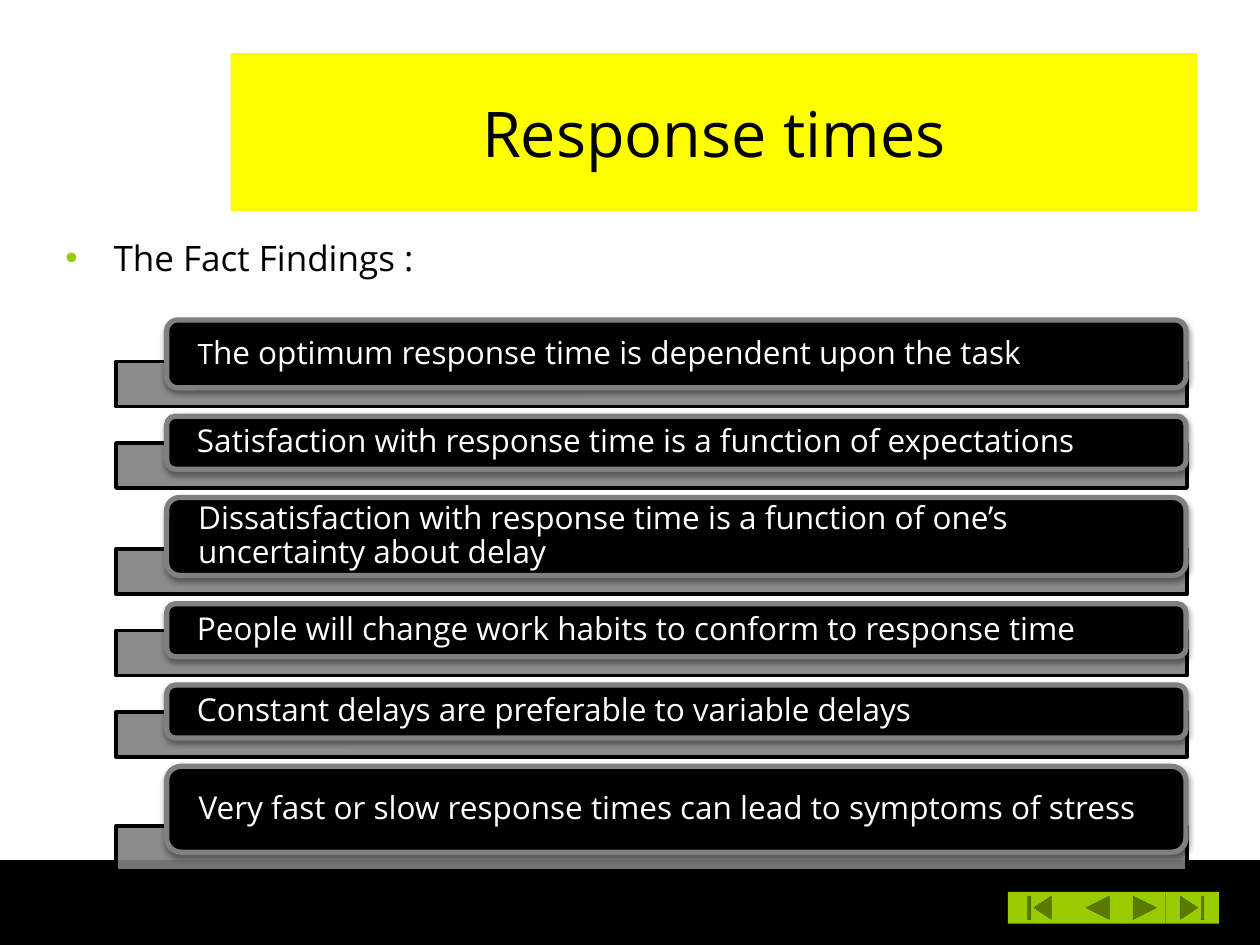
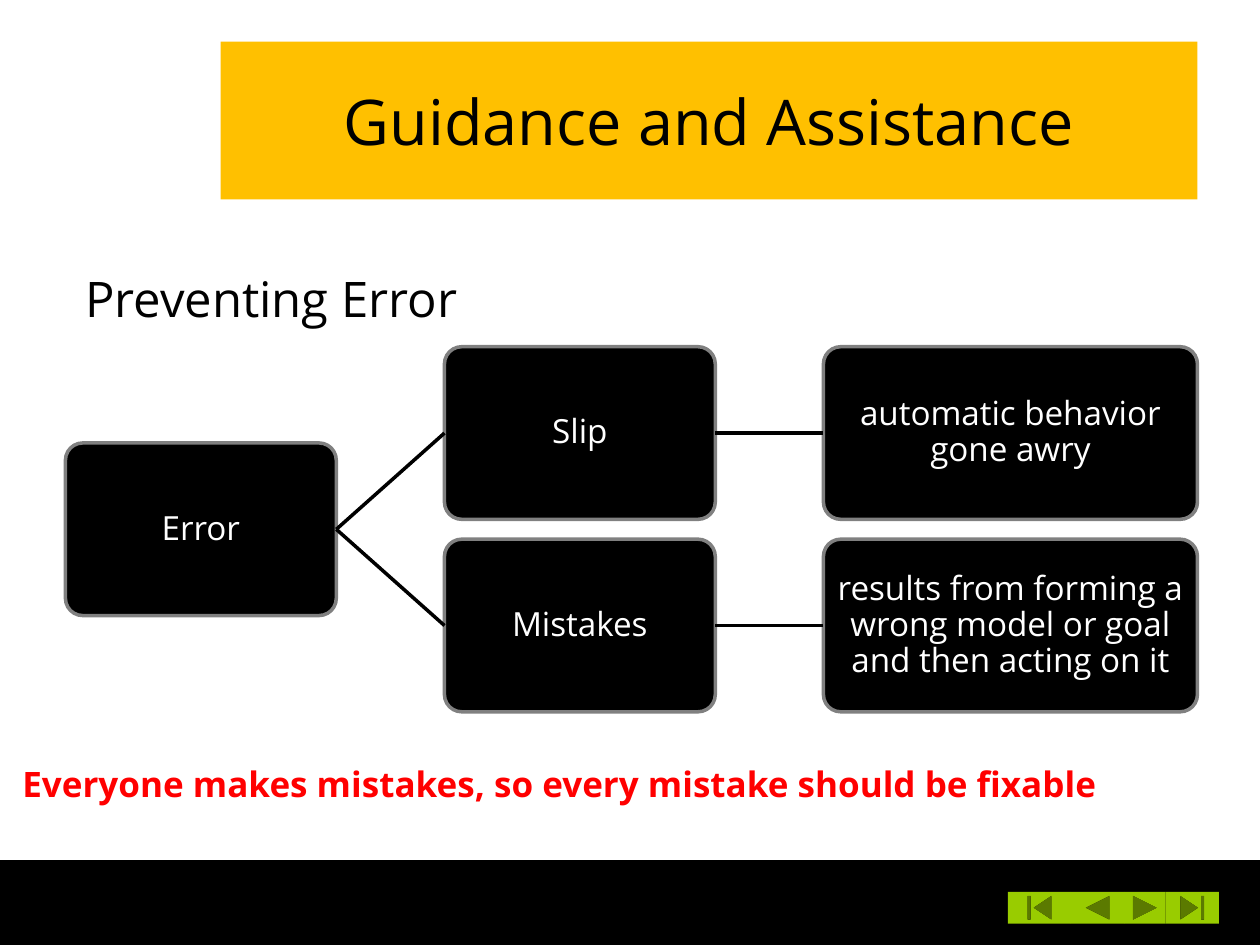
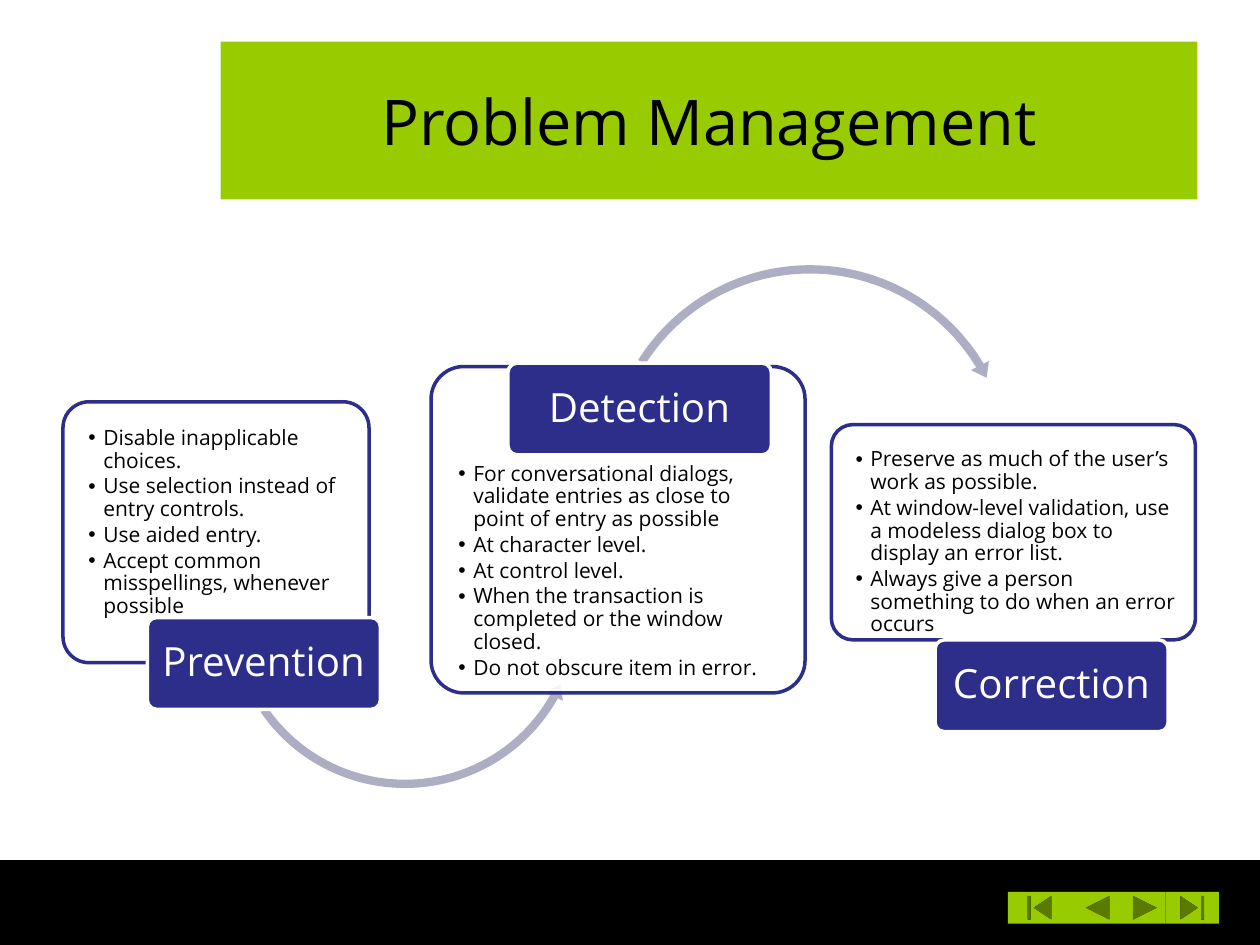
"""Builds three slides on response times, error prevention and problem management."""
from lxml import etree
from pptx import Presentation
from pptx import util as u
from pptx.dml.color import RGBColor
from pptx.enum import shapes, text
from pptx.oxml import ns

SHAPE = shapes.MSO_SHAPE
LEFT, CENTER = text.PP_ALIGN.LEFT, text.PP_ALIGN.CENTER
TOP, MIDDLE = text.MSO_ANCHOR.TOP, text.MSO_ANCHOR.MIDDLE
FONT = "Open Sans"
COLORS = {
    "black": "000000", "white": "FFFFFF", "gray": "808080", "lime": "99CC00",
    "yellow": "FFFF00", "amber": "FFC000", "red": "FF0000",
    "indigo": "2D2D8A", "lavender": "ADADC4",
}

BAND = (0, 17.36, 25.4, 1.69)
BUTTONS = [
    (SHAPE.ACTION_BUTTON_BEGINNING, 1.27),
    (SHAPE.ACTION_BUTTON_BACK_OR_PREVIOUS, 1.07),
    (SHAPE.ACTION_BUTTON_FORWARD_OR_NEXT, 0.84),
    (SHAPE.ACTION_BUTTON_END, 1.07),
]
BUTTON_LEFT, BUTTON_TOP, BUTTON_HEIGHT = 20.32, 17.98, 0.64
TITLES = [
    ("Response times", "yellow", (4.65, 1.07, 19.48, 3.18)),
    ("Guidance and Assistance", "amber", (4.45, 0.84, 19.69, 3.18)),
    ("Problem Management", "lime", (4.45, 0.84, 19.69, 3.18)),
]

FINDINGS = [
    ([("T", 16), ("he optimum response time is dependent upon the task", 18)], 1.37),
    ("Satisfaction with response time is a function of expectations", 1.07),
    ("Dissatisfaction with response time is a function of one’s uncertainty about delay", 1.57),
    ("People will change work habits to conform to response time", 1.07),
    ("Constant delays are preferable to variable delays", 1.07),
    ("Very fast or slow response times can lead to symptoms of stress", 1.73),
]
FINDINGS_TOP, FINDING_GAP = 6.45, 0.19
STRIP_HEIGHT, STRIP_OVERLAP = 0.91, 0.53

ERROR_KINDS = [
    ("Slip", "automatic behavior gone awry"),
    ("Mistakes", "results from forming a wrong model or goal and then acting on it"),
]
TREE_LEFT, TREE_TOP, TREE_GAP = 1.32, 6.99, 2.18
NODE_WIDTH, MEANING_WIDTH, NODE_HEIGHT, ROW_STEP = 5.46, 7.54, 3.48, 3.88

STAGES = [
    {"label": "Prevention", "label_at": (2.97, 12.45, 4.7, 1.85),
     "box": (1.27, 8.1, 6.17, 5.26), "inset_top": 0.36,
     "arrow": (SHAPE.LEFT_CIRCULAR_ARROW, (4.52, 8.71, 7.29, 7.29)),
     "thickness": 2.3, "degrees": (4.69, 29.36, 145.49), "head": 2.7,
     "points": ["Disable inapplicable choices.",
                "Use selection instead of entry controls.",
                "Use aided entry.",
                "Accept common misspellings, whenever possible"]},
    {"label": "Detection", "label_at": (10.24, 7.32, 5.31, 1.85),
     "box": (8.69, 7.39, 7.54, 6.58), "inset_top": 1.75,
     "arrow": (SHAPE.CIRCULAR_ARROW, (12.12, 5.23, 8.41, 8.41)),
     "thickness": 2, "degrees": (4.03, 328.97, 212.19), "head": 2.4,
     "points": ["For conversational dialogs, validate entries as close to point of entry as possible",
                "At character level.",
                "At control level.",
                "When the transaction is completed or the window closed.",
                "Do not obscure item in error."]},
    {"label": "Correction", "label_at": (18.85, 12.9, 4.7, 1.85),
     "box": (16.76, 8.56, 7.34, 4.34), "inset_top": 0.36,
     "points": ["Preserve as much of the user’s work as possible.",
                "At window-level validation, use a modeless dialog box to display an error list.",
                "Always give a person something to do when an error occurs"]},
]


def rgb(color):
    return RGBColor.from_string(COLORS[color])


def cm(values):
    return [u.Cm(value) for value in values]


def assign(target, values):
    for name, value in values.items():
        setattr(target, name, value)


def child(parent, tag, **attributes):
    return etree.SubElement(parent, ns.qn(tag), attributes)


def paint(shape, fill, line=None, width=1, opacity=None):
    shape.fill.solid()
    shape.fill.fore_color.rgb = rgb(fill)
    if opacity:
        clr = shape.element.spPr.find(".//" + ns.qn("a:srgbClr"))
        child(clr, "a:alpha", val=str(opacity * 1000))
    if line:
        shape.line.color.rgb = rgb(line)
        shape.line.width = u.Pt(width)
    else:
        shape.line.fill.background()


def add_shape(slide, kind, at, fill, line=None, width=1, opacity=None, adjust=()):
    shape = slide.shapes.add_shape(kind, *cm(at))
    shape.shadow.inherit = False
    paint(shape, fill, line, width, opacity)
    for index, value in enumerate(adjust):
        shape.adjustments[index] = value
    return shape


def add_bullet(paragraph, indent, color):
    properties = paragraph._p.get_or_add_pPr()
    properties.set("marL", str(u.Cm(indent)))
    properties.set("indent", str(-u.Cm(indent)))
    child(child(properties, "a:buClr"), "a:srgbClr", val=COLORS[color])
    child(properties, "a:buFont", typeface="Arial")
    child(properties, "a:buChar", char="•")


def write(shape, paragraphs, size, color, align=LEFT, anchor=TOP, insets=None,
          bold=False, spacing=None, bullet=None):
    frame = shape.text_frame
    assign(frame, {"word_wrap": True, "vertical_anchor": anchor})
    if insets:
        sides = ("margin_left", "margin_top", "margin_right", "margin_bottom")
        assign(frame, dict(zip(sides, cm(insets))))
    for index, content in enumerate(paragraphs):
        paragraph = frame.add_paragraph() if index else frame.paragraphs[0]
        assign(paragraph, {"alignment": align, **(spacing or {})})
        runs = [(content, size)] if isinstance(content, str) else content
        for words, points in runs:
            run = paragraph.add_run()
            run.text = words
            assign(run.font, {"name": FONT, "size": u.Pt(points), "bold": bold})
            run.font.color.rgb = rgb(color)
        if bullet:
            add_bullet(paragraph, *bullet)


def add_text(slide, at, words, size, color, **options):
    write(slide.shapes.add_textbox(*cm(at)), [words], size, color, **options)


def add_slide(deck, layout, title, fill, at):
    slide = deck.slides.add_slide(layout)
    heading = slide.shapes.title
    assign(heading, dict(zip(("left", "top", "width", "height"), cm(at))))
    paint(heading, fill)
    write(heading, [title], 36, "black", CENTER, MIDDLE)
    return slide


def add_footer(layout, slide):
    parts = [add_shape(slide, SHAPE.RECTANGLE, BAND, "black", "black", 0.75)]
    left = BUTTON_LEFT
    for kind, width in BUTTONS:
        parts.append(add_shape(slide, kind, (left, BUTTON_TOP, width, BUTTON_HEIGHT), "lime"))
        left += width
    for number, part in enumerate(parts, 100):
        part.element.nvSpPr.cNvPr.set("id", str(number))
        layout.shapes.element.append(part.element)


def add_findings(slide):
    add_text(slide, (1.07, 4.65, 22.86, 12.9), "The Fact Findings :", 20, "black",
             spacing={"space_before": u.Pt(4)}, bullet=(0.97, "lime"))
    top = FINDINGS_TOP
    for finding, height in FINDINGS:
        strip_top = top + height - STRIP_OVERLAP
        add_shape(slide, SHAPE.RECTANGLE, (2.34, strip_top, 21.59, STRIP_HEIGHT),
                  "gray", "black", 2, 90)
        card = add_shape(slide, SHAPE.ROUNDED_RECTANGLE, (3.36, top, 20.55, height),
                         "black", "gray", 3)
        effects = card.element.spPr.find(ns.qn("a:effectLst"))
        shadow = child(effects, "a:outerShdw", blurRad="40000", dist="20000",
                       dir="5400000", rotWithShape="0")
        child(child(shadow, "a:srgbClr", val=COLORS["black"]), "a:alpha", val="38000")
        write(card, [finding], 18, "white", anchor=MIDDLE, insets=(0.56, 0, 0.56, 0),
              spacing={"line_spacing": 0.9})
        top = strip_top + STRIP_HEIGHT + FINDING_GAP


def add_node(slide, column, row, words, width=NODE_WIDTH):
    at = (TREE_LEFT + column * (NODE_WIDTH + TREE_GAP), TREE_TOP + row * ROW_STEP,
          width, NODE_HEIGHT)
    node = add_shape(slide, SHAPE.ROUNDED_RECTANGLE, at, "black", "gray", 2, adjust=[0.1])
    write(node, [words], 19, "white", CENTER, MIDDLE, (0.03,) * 4,
          spacing={"line_spacing": 0.9})
    return node


def link(slide, source, target):
    line = slide.shapes.add_connector(shapes.MSO_CONNECTOR.STRAIGHT, 0, 0, 0, 0)
    line.begin_connect(source, 3)
    line.end_connect(target, 1)
    line.line.color.rgb = rgb("black")
    line.line.width = u.Pt(2)
    child(line.element.spPr, "a:effectLst")


def add_error_tree(slide):
    root = add_node(slide, 0, 0.5, "Error")
    for row, (kind, meaning) in enumerate(ERROR_KINDS):
        branch = add_node(slide, 1, row, kind)
        leaf = add_node(slide, 2, row, meaning, MEANING_WIDTH)
        link(slide, root, branch)
        link(slide, branch, leaf)
    add_text(slide, (1.47, 5.28, 8.74, 1.45), "Preventing Error", 28, "black")
    add_text(slide, (0.2, 15.24, 25.3, 1.12),
             "Everyone makes mistakes, so every mistake should be fixable", 20, "red", bold=True)


def add_stages(slide):
    for stage in STAGES:
        box = add_shape(slide, SHAPE.ROUNDED_RECTANGLE, stage["box"], "white", "indigo", 2,
                        90, [0.1])
        write(box, stage["points"], 12, "black",
              insets=(0.36, stage["inset_top"], 0.25, 0.36),
              spacing={"line_spacing": 0.9, "space_after": u.Pt(1.8)}, bullet=(0.3, "black"))
        if "arrow" in stage:
            kind, at = stage["arrow"]
            angles = [degrees * 0.6 for degrees in stage["degrees"]]
            add_shape(slide, kind, at, "lavender",
                      adjust=[stage["thickness"] / 100, *angles, stage["head"] / 100])
        label = add_shape(slide, SHAPE.ROUNDED_RECTANGLE, stage["label_at"], "indigo",
                          "white", 2, adjust=[0.1])
        write(label, [stage["label"]], 23, "white", CENTER, MIDDLE, (0.13, 0.08, 0.13, 0.08),
              spacing={"line_spacing": 0.9})


deck = Presentation()
assign(deck, {"slide_width": u.Cm(25.4), "slide_height": u.Cm(19.05)})
title_only = deck.slide_layouts[5]
slides = [add_slide(deck, title_only, *title) for title in TITLES]
add_footer(title_only, slides[0])
for fill_slide, slide in zip((add_findings, add_error_tree, add_stages), slides):
    fill_slide(slide)
deck.save("out.pptx")
